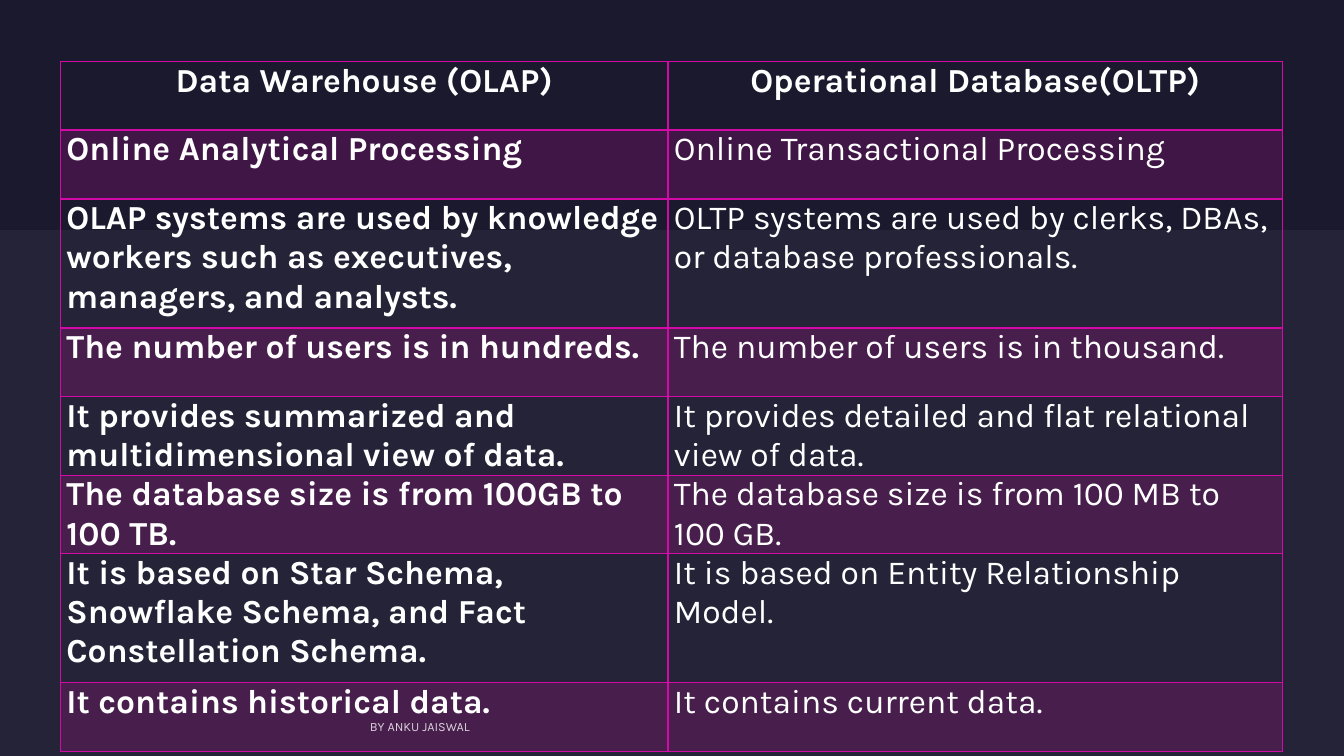
from lxml import etree
from pptx import Presentation
from pptx.dml.color import RGBColor
from pptx.enum.shapes import MSO_SHAPE
from pptx.enum.text import MSO_ANCHOR, PP_ALIGN
from pptx.oxml.ns import qn
from pptx.util import Pt

RECTANGLE = MSO_SHAPE.RECTANGLE
CENTER, LEFT = PP_ALIGN.CENTER, PP_ALIGN.LEFT
MIDDLE = MSO_ANCHOR.MIDDLE

COLORS = {"night": "1B192E", "haze": "E4E3F0", "magenta": "D40AA8", "white": "FFFFFF"}
FONT = "Karla"

SLIDE_WIDTH, SLIDE_HEIGHT = 960, 540
HAZE_TOP = 164.4
COLUMN_WIDTHS = [433.9, 439.1]
SHORT_ROW, TALL_ROW = 49.1, 92.2

COMPARISON = [
    ("Data Warehouse (OLAP)", "Operational Database(OLTP)", SHORT_ROW),
    ("Online Analytical Processing", "Online Transactional Processing", SHORT_ROW),
    ("OLAP systems are used by knowledge workers such as executives, managers, and analysts.",
     "OLTP systems are used by clerks, DBAs, or database professionals.", TALL_ROW),
    ("The number of users is in hundreds.", "The number of users is in thousand.", SHORT_ROW),
    ("It provides summarized and multidimensional view of data.",
     "It provides detailed and flat relational view of data.", SHORT_ROW),
    ("The database size is from 100GB to 100 TB.",
     "The database size is from 100 MB to 100 GB.", SHORT_ROW),
    ("It is based on Star Schema, Snowflake Schema, and Fact Constellation Schema.",
     "It is based on Entity Relationship Model.", TALL_ROW),
    ("It contains historical data.", "It contains current data.", SHORT_ROW),
]


def set_opacity(properties, percent):
    """Make the solid fill directly inside a properties element translucent."""
    color = properties.find(qn("a:solidFill")).find(qn("a:srgbClr"))
    etree.SubElement(color, qn("a:alpha")).set("val", str(percent * 1000))


def add_borders(cell_properties, widths):
    for side, width in widths.items():
        line = etree.SubElement(cell_properties, qn(f"a:ln{side}"), w=str(Pt(width)))
        fill = etree.SubElement(line, qn("a:solidFill"))
        etree.SubElement(fill, qn("a:srgbClr"), val=COLORS["magenta"])


prs = Presentation()
prs.slide_width, prs.slide_height = Pt(SLIDE_WIDTH), Pt(SLIDE_HEIGHT)
slide = prs.slides.add_slide(prs.slide_layouts[6])
slide.background.fill.solid()
slide.background.fill.fore_color.rgb = RGBColor.from_string(COLORS["night"])

# Backdrop: a dark base with a faint haze over the lower part
for top, color, opacity in [(0, "night", 100), (HAZE_TOP, "haze", 5)]:
    backdrop = slide.shapes.add_shape(
        RECTANGLE, 0, Pt(top), Pt(SLIDE_WIDTH), Pt(SLIDE_HEIGHT - top))
    backdrop.shadow.inherit = False
    backdrop.line.fill.background()
    backdrop.fill.solid()
    backdrop.fill.fore_color.rgb = RGBColor.from_string(COLORS[color])
    if opacity < 100:
        set_opacity(backdrop._element.spPr, opacity)

# Comparison table
table = slide.shapes.add_table(
    len(COMPARISON), len(COLUMN_WIDTHS), Pt(43.2), Pt(43.9),
    Pt(sum(COLUMN_WIDTHS)), Pt(sum(height for *_, height in COMPARISON))).table
for column, width in zip(table.columns, COLUMN_WIDTHS):
    column.width = Pt(width)

for row, (*texts, height) in enumerate(COMPARISON):
    table.rows[row].height = Pt(height)
    is_header = row == 0
    for col, text in enumerate(texts):
        cell = table.cell(row, col)
        cell.margin_left = cell.margin_right = Pt(4.3)
        cell.margin_top = cell.margin_bottom = 0
        cell.text = text
        paragraph = cell.text_frame.paragraphs[0]
        paragraph.alignment = CENTER if is_header else LEFT
        font = paragraph.font
        font.name, font.size = FONT, Pt(24)
        font.bold = is_header or col == 0
        font.color.rgb = RGBColor.from_string(COLORS["white"])

        cell_properties = cell._tc.get_or_add_tcPr()
        add_borders(cell_properties, {
            "L": 1, "R": 1, "T": 2 if row == 1 else 1, "B": 2 if is_header else 1})
        if row % 2:
            cell.fill.solid()
            cell.fill.fore_color.rgb = RGBColor.from_string(COLORS["magenta"])
            set_opacity(cell_properties, 20)
        else:
            cell.fill.background()

# Author line
author_box = slide.shapes.add_textbox(Pt(264.2), Pt(512.6), Pt(502.6), Pt(12.2))
author_frame = author_box.text_frame
author_frame.word_wrap = True
author_frame.vertical_anchor = MIDDLE
author_frame.margin_left = author_frame.margin_right = 0
author_frame.margin_top = author_frame.margin_bottom = 0
author = author_frame.paragraphs[0]
author.text = "BY ANKU JAISWAL"
author.font.name, author.font.size = FONT, Pt(9)
author.font.color.rgb = RGBColor.from_string(COLORS["white"])
set_opacity(author._p.pPr.find(qn("a:defRPr")), 80)

prs.save("out.pptx")
